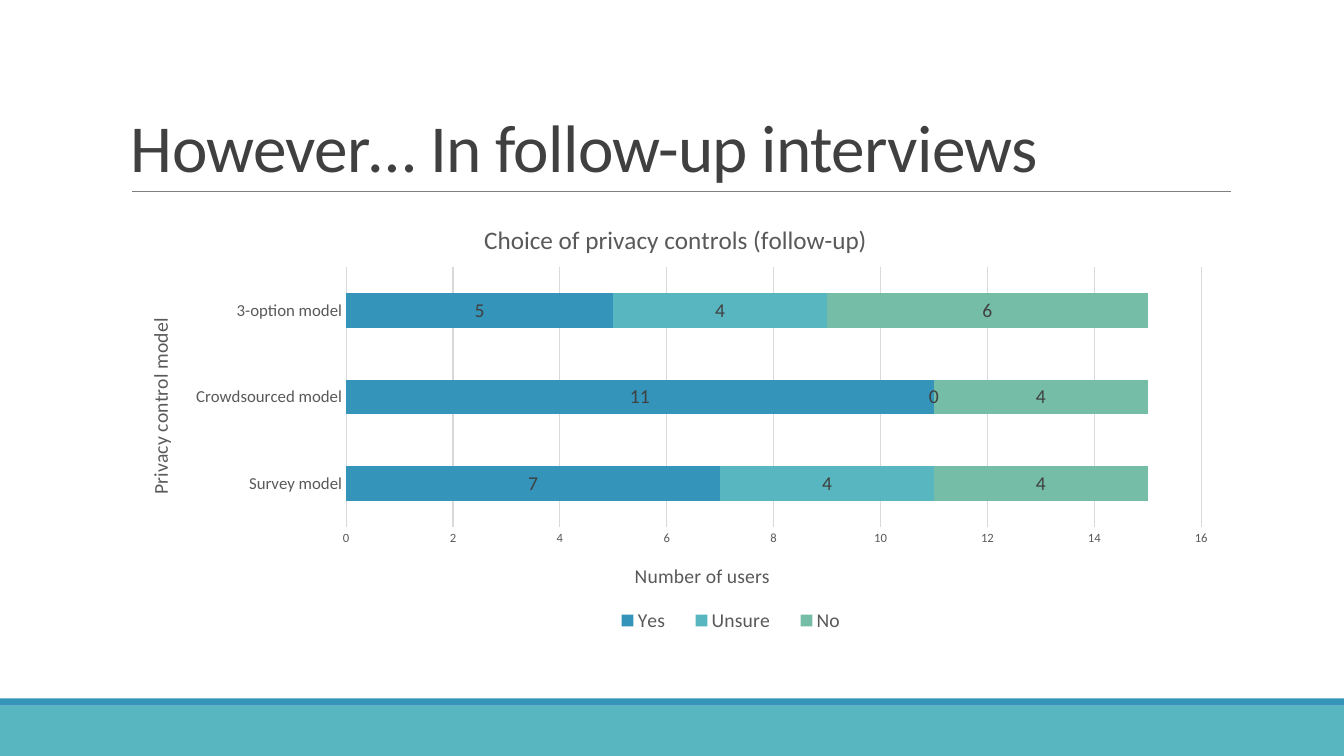
from lxml import etree
from pptx import Presentation
from pptx.chart.data import CategoryChartData
from pptx.dml.color import RGBColor
from pptx.enum.chart import XL_CHART_TYPE, XL_LEGEND_POSITION, XL_TICK_MARK
from pptx.enum.dml import MSO_FILL
from pptx.enum.shapes import MSO_CONNECTOR, MSO_SHAPE
from pptx.enum.text import MSO_ANCHOR
from pptx.oxml.ns import qn
from pptx.util import Inches, Pt

STACKED = XL_CHART_TYPE.BAR_STACKED
BOTTOM = XL_LEGEND_POSITION.BOTTOM
NO_TICK = XL_TICK_MARK.NONE
RECT = MSO_SHAPE.RECTANGLE
STRAIGHT = MSO_CONNECTOR.STRAIGHT
LOW = MSO_ANCHOR.BOTTOM

FACE = "Calibri"
HUE = {"blue": "3494BA", "teal": "58B6C0", "green": "75BDA7", "dark": "404040",
       "gray": "595959", "rule": "808080", "grid": "D9D9D9"}
MODELS = ["Survey model", "Crowdsourced model", "3-option model"]
VOTES = [("Yes", (7, 11, 5), "blue"), ("Unsure", (4, 0, 4), "teal"),
         ("No", (4, 4, 6), "green")]


def color(name):
    """Return the named colour."""
    return RGBColor.from_string(HUE[name])


def style(font, size, name):
    """Set face, size and colour of a font."""
    font.name = FACE
    font.size = Pt(size)
    font.bold = False
    font.color.rgb = color(name)


def add_run(frame, text, size, name):
    """Add a styled run to the first paragraph."""
    run = frame.paragraphs[0].add_run()
    run.text = text
    style(run.font, size, name)
    return run


def add_band(slide, left, top, width, height, name):
    """Draw a plain filled bar."""
    band = slide.shapes.add_shape(RECT, *map(Inches, (left, top, width, height)))
    band.shadow.inherit = False
    band.fill.solid()
    band.fill.fore_color.rgb = color(name)
    band.line.fill.background()


def add_foot(slide, left, top, width, height):
    """Draw the two-tone strip at the foot of the slide."""
    edge = 0.07
    add_band(slide, left, top + edge, width, height - edge, "teal")
    add_band(slide, left, top, width, edge, "blue")


def add_head(slide, left, top, width, height):
    """Place the title with a rule below it."""
    base = top + height
    rule = slide.shapes.add_connector(
        STRAIGHT, *map(Inches, (left + 0.11, base, left + width + 0.01, base)))
    rule.line.color.rgb = color("rule")
    rule.line.width = Pt(0.5)
    etree.SubElement(rule._element.spPr, qn("a:effectLst"))
    box = slide.shapes.add_textbox(*map(Inches, (left, top, width, height)))
    frame = box.text_frame
    frame.word_wrap = True
    frame.vertical_anchor = LOW
    frame.paragraphs[0].line_spacing = 0.85
    run = add_run(frame, "However… In follow-up interviews", 48, "dark")
    run.font._element.set("spc", "-50")


def lay_out(item, index, x, y, size=None, inner=False):
    """Pin a chart part at fractions of the chart area."""
    for old in item.findall(qn("c:layout")):
        item.remove(old)
    layout = etree.Element(qn("c:layout"))
    manual = etree.SubElement(layout, qn("c:manualLayout"))
    facts = [("xMode", "edge"), ("yMode", "edge"), ("x", x), ("y", y)]
    if inner:
        facts.insert(0, ("layoutTarget", "inner"))
    if size:
        facts += zip("wh", size)
    for tag, value in facts:
        etree.SubElement(manual, qn(f"c:{tag}")).set("val", str(value))
    item.insert(index, layout)


def set_axis(axis, text, size, x, y):
    """Style an axis and place its title."""
    axis.major_tick_mark = axis.minor_tick_mark = NO_TICK
    style(axis.tick_labels.font, size, "gray")
    title = axis.axis_title
    add_run(title.text_frame, text, 14, "gray")
    lay_out(title._element, 1, x, y)


def add_votes(slide, left, top, width, height):
    """Add the stacked bar chart of choices."""
    data = CategoryChartData()
    data.categories = MODELS
    for name, values, _ in VOTES:
        data.add_series(name, values)
    chart = slide.shapes.add_chart(
        STACKED, *map(Inches, (left, top, width, height)), data).chart
    style(chart.font, 10, "gray")
    add_run(chart.chart_title.text_frame,
            "Choice of privacy controls (follow-up)", 18, "gray")
    chart.chart_title.include_in_layout = False

    set_axis(chart.category_axis, "Privacy control model", 12, 0.02, 0.25)
    line = chart.category_axis.format.line
    line.color.rgb = color("grid")
    line.width = Pt(0.75)
    axis = chart.value_axis
    set_axis(axis, "Number of users", 9, 0.46, 0.8)
    axis.minimum_scale, axis.maximum_scale, axis.major_unit = 0, 16, 2
    axis.format.line.fill.background()
    grid = axis.major_gridlines.format.line
    grid.color.rgb = color("grid")
    grid.width = Pt(0.75)

    plot = chart.plots[0]
    plot.gap_width, plot.overlap = 150, 100
    plot.vary_by_categories = False
    for series, (_, _, name) in zip(plot.series, VOTES):
        series.format.fill.solid()
        series.format.fill.fore_color.rgb = color(name)
        series.data_labels.show_value = True
        style(series.data_labels.font, 14, "dark")

    chart.has_legend = True
    legend = chart.legend
    legend.position = BOTTOM
    legend.include_in_layout = False
    style(legend.font, 14, "gray")
    lay_out(legend._element, 1, 0.43, 0.9, (0.24, 0.08))
    area = chart._chartSpace.find(".//" + qn("c:plotArea"))
    lay_out(area, 0, 0.203, 0.143, (0.771, 0.586), True)


def main():
    """Build and save the slide."""
    deck = Presentation()
    deck.slide_width, deck.slide_height = Inches(13.33), Inches(7.5)
    slide = deck.slides.add_slide(deck.slide_layouts[6])
    add_foot(slide, 0, 6.93, 13.33, 0.57)
    add_head(slide, 1.2, 0.31, 11, 1.59)
    add_votes(slide, 1.2, 2.02, 11, 4.4)
    deck.save("out.pptx")


if __name__ == "__main__":
    main()
